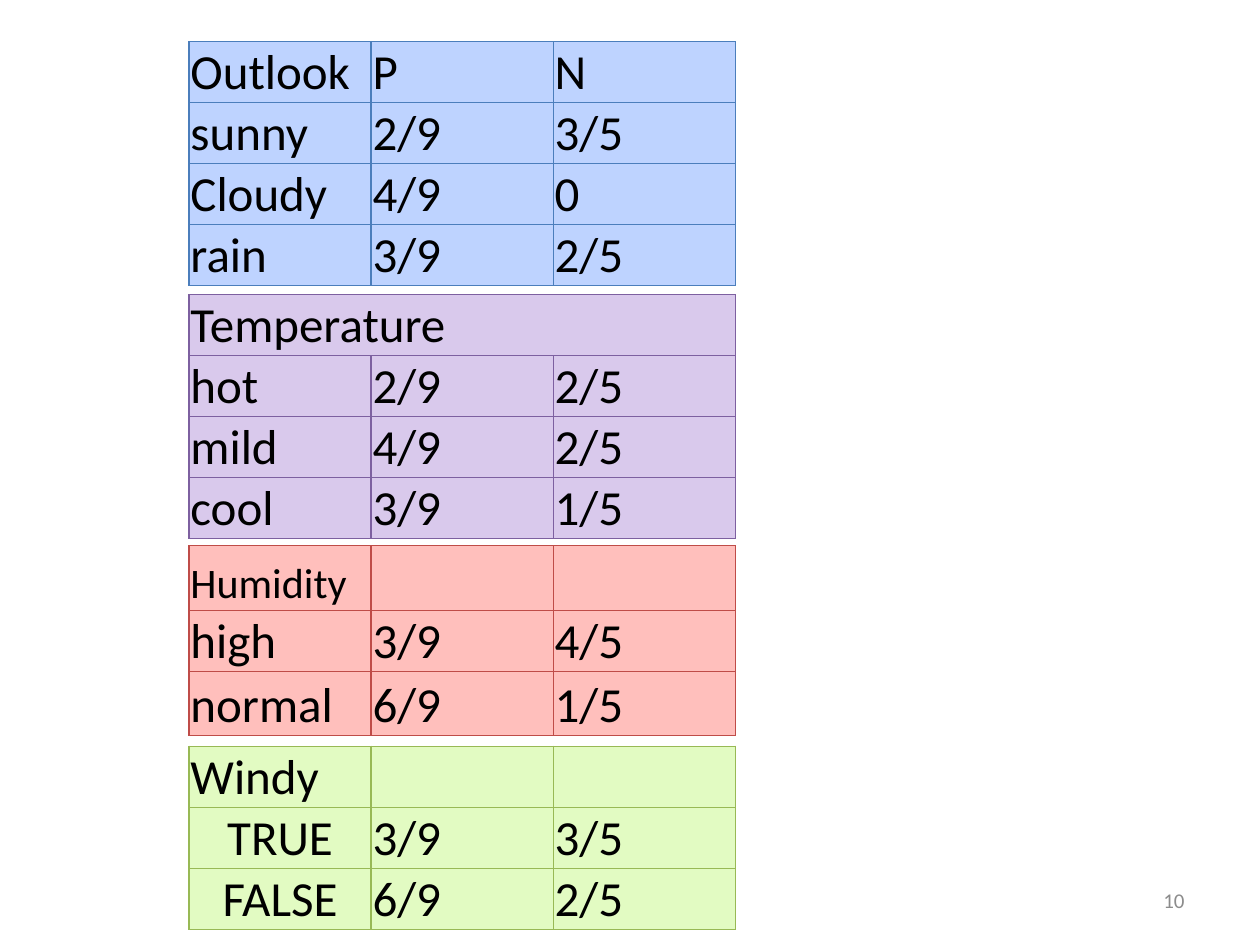
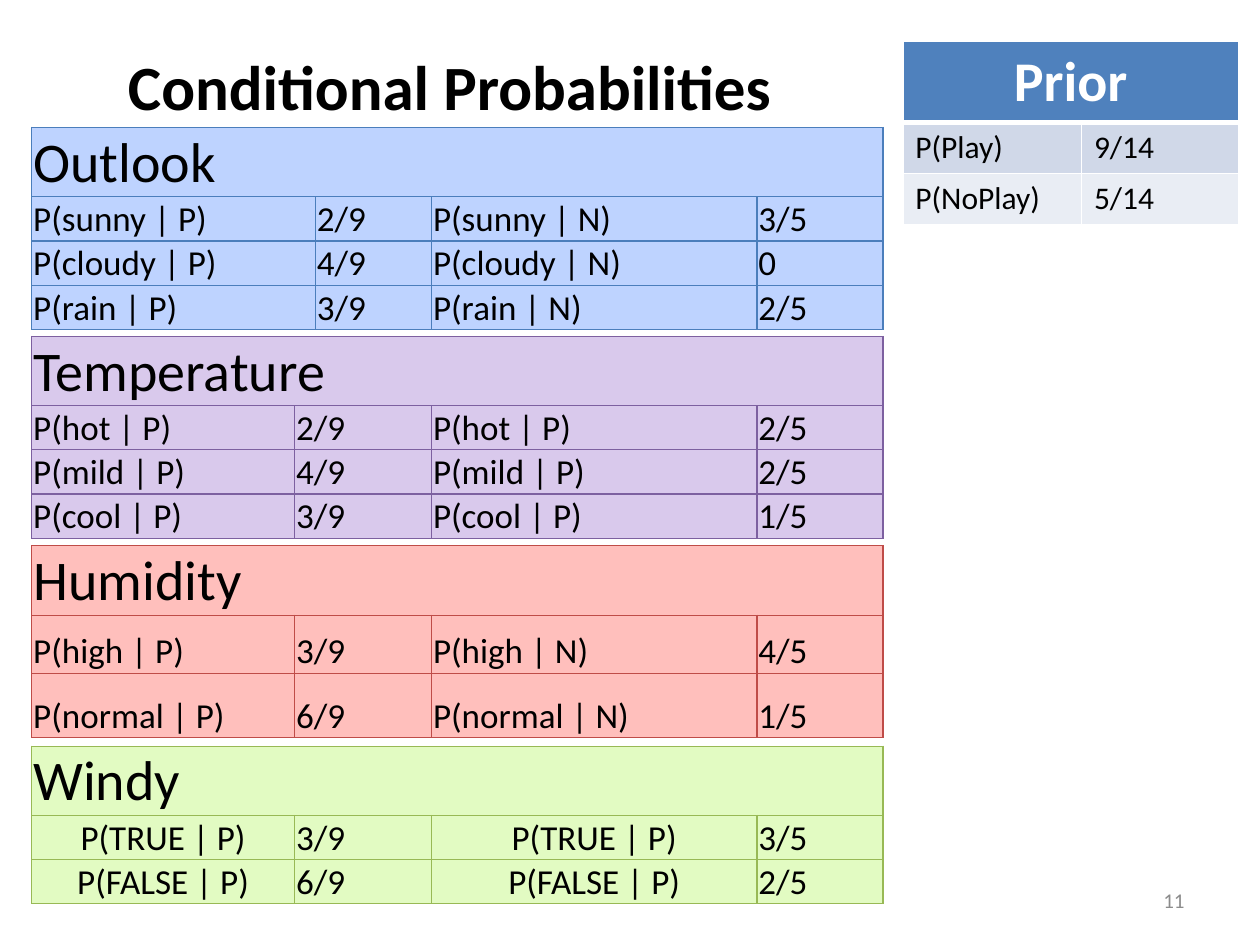
from dataclasses import dataclass

from lxml import etree
from pptx import Presentation
from pptx import util as u
from pptx.dml import color
from pptx.enum import text
from pptx.oxml import ns

Cm, Pt = u.Cm, u.Pt
FONT = "Calibri"
COLOURS = {
    "black": "000000", "white": "FFFFFF", "grey": "8C8C8C",
    "blue": "BED3FF", "blue line": "4B7EBC",
    "purple": "D9C9EC", "purple line": "7D60A0",
    "red": "FFBFBC", "red line": "BF4C48",
    "green": "E2FBC2", "green line": "98B955",
    "prior head": "4F81BD", "prior dark": "D0D8E8", "prior light": "E9EDF4",
}
LEFT, CENTER, RIGHT = text.PP_ALIGN.LEFT, text.PP_ALIGN.CENTER, text.PP_ALIGN.RIGHT
TOP, MIDDLE, BOTTOM = (text.MSO_ANCHOR.TOP, text.MSO_ANCHOR.MIDDLE,
                       text.MSO_ANCHOR.BOTTOM)


@dataclass
class Feature:
    name: str
    hue: str
    rows: list               # value, share among P, share among N
    count_top: float         # top of the table of fractions, cm
    probability_top: float   # top of the table of probabilities, cm
    second_class: str        # class named in the second probability column
    count_heights: list
    probability_heights: list
    align: int = LEFT


FEATURES = [
    Feature("Outlook", "blue",
            [("sunny", "2/9", "3/5"), ("Cloudy", "4/9", "0"), ("rain", "3/9", "2/5")],
            0.84, 2.57, "N", [1.23] * 4, [1.4] + [0.89] * 3),
    Feature("Temperature", "purple",
            [("hot", "2/9", "2/5"), ("mild", "4/9", "2/5"), ("cool", "3/9", "1/5")],
            5.94, 6.78, "P", [1.23] * 4, [1.4] + [0.89] * 3),
    Feature("Humidity", "red",
            [("high", "3/9", "4/5"), ("normal", "6/9", "1/5")],
            11, 11, "N", [1.3, 1.23, 1.3], [1.4, 1.17, 1.3]),
    Feature("Windy", "green",
            [("TRUE", "3/9", "3/5"), ("FALSE", "6/9", "2/5")],
            15.04, 15.04, "P", [1.23] * 3, [1.4] + [0.89] * 2, CENTER),
]


# Text and cells
def rgb(name):
    return color.RGBColor.from_string(COLOURS[name])


def write(frame, content, size, colour="black", bold=False, align=LEFT):
    frame.text = content
    paragraph = frame.paragraphs[0]
    paragraph.alignment = align
    for run in paragraph.runs:
        run.font.name = FONT
        run.font.size = Pt(size)
        run.font.bold = bold
        run.font.color.rgb = rgb(colour)


def add_text(slide, box, content, size, anchor=TOP, wrap=True, **style):
    shape = slide.shapes.add_textbox(*(Cm(length) for length in box))
    frame = shape.text_frame
    frame.word_wrap = wrap
    frame.vertical_anchor = anchor
    write(frame, content, size, **style)
    return shape


def paint_cell(cell, fill, line, width=0.75, **other_widths):
    """Give a cell its borders and then its fill; other_widths is keyed by side."""
    properties = cell._tc.get_or_add_tcPr()
    for side in "LRTB":
        border = etree.SubElement(properties, ns.qn("a:ln" + side),
                                  w=str(Pt(other_widths.get(side, width))))
        solid = etree.SubElement(border, ns.qn("a:solidFill"))
        etree.SubElement(solid, ns.qn("a:srgbClr"), val=COLOURS[line])
    cell.fill.solid()
    cell.fill.fore_color.rgb = rgb(fill)


# Tables
def add_grid(slide, left, top, widths, heights):
    table = slide.shapes.add_table(
        len(heights), len(widths), Cm(left), Cm(top),
        Cm(sum(widths)), Cm(sum(heights))).table
    table.first_row = table.horz_banding = False
    for column, width in zip(table.columns, widths):
        column.width = Cm(width)
    for row, height in zip(table.rows, heights):
        row.height = Cm(height)
    return table


def add_feature_table(slide, feature, left, top, widths, heights, rows,
                      head_size, size, merged):
    table = add_grid(slide, left, top, widths, heights)
    for i, row in enumerate(rows):
        for j, content in enumerate(row):
            cell = table.cell(i, j)
            cell.margin_left = cell.margin_right = cell.margin_top = Cm(0.03)
            cell.margin_bottom = 0
            cell.vertical_anchor = BOTTOM
            paint_cell(cell, feature.hue, feature.hue + " line")
            is_label = i > 0 and j % 2 == 0 and "/" not in content
            if content:
                write(cell.text_frame, content, size if i else head_size,
                      align=feature.align if is_label else LEFT)
    if merged:
        table.cell(0, 0).merge(table.cell(0, len(widths) - 1))


def add_fraction_table(slide, feature):
    classes = ["P", "N"] if feature.name == "Outlook" else ["", ""]
    add_feature_table(slide, feature, 3.81, feature.count_top, [3.67] * 3,
                      feature.count_heights,
                      [[feature.name, *classes], *feature.rows],
                      head_size=24 if feature.name == "Humidity" else 28, size=28,
                      merged=feature.name == "Temperature")


def add_probability_table(slide, feature):
    rows = [[feature.name, "", "", ""]]
    for value, share_p, share_n in feature.rows:
        value = value if value.isupper() else value.lower()
        rows.append([f"P({value} | P)", share_p,
                     f"P({value} | {feature.second_class})", share_n])
    first_widths = [5.72, 2.34] if feature.name == "Outlook" else [5.3, 2.76]
    add_feature_table(slide, feature, 0.64, feature.probability_top,
                      first_widths + [6.56, 2.54], feature.probability_heights,
                      rows, head_size=32, size=20, merged=True)


def add_prior_table(slide):
    rows = [("Prior", ""), ("P(Play)", "9/14"), ("P(NoPlay)", "5/14")]
    fills = ["prior head", "prior dark", "prior light"]
    table = add_grid(slide, 18.2, 0.84, [3.6, 3.17], [1.63, 1.03, 1.03])
    for i, (row, fill) in enumerate(zip(rows, fills)):
        for j, content in enumerate(row):
            cell = table.cell(i, j)
            paint_cell(cell, fill, "white", 1,
                       T=3 if i == 1 else 1, B=3 if i == 0 else 1)
            if i == 0 and content:
                write(cell.text_frame, content, 32, "white", True, CENTER)
            elif content:
                write(cell.text_frame, content, 18)
    table.cell(0, 0).merge(table.cell(0, 1))


# Slides
def add_slide(presentation, number):
    slide = presentation.slides.add_slide(presentation.slide_layouts[6])
    add_text(slide, (18.2, 17.65, 5.93, 1.01), str(number), 12, MIDDLE,
             colour="grey", align=RIGHT)
    return slide


def main():
    presentation = Presentation()
    presentation.slide_width, presentation.slide_height = Cm(25.4), Cm(19.05)

    # Fractions of each class
    slide = add_slide(presentation, 10)
    for feature in FEATURES:
        add_fraction_table(slide, feature)

    # Conditional probabilities and priors
    slide = add_slide(presentation, 11)
    for feature in FEATURES:
        add_probability_table(slide, feature)
    add_prior_table(slide)
    title = add_text(slide, (2.33, 0.84, 13.64, 1.8), "Conditional Probabilities",
                     36, wrap=False, bold=True)
    title.text_frame.auto_size = text.MSO_AUTO_SIZE.SHAPE_TO_FIT_TEXT

    presentation.save("out.pptx")


main()
